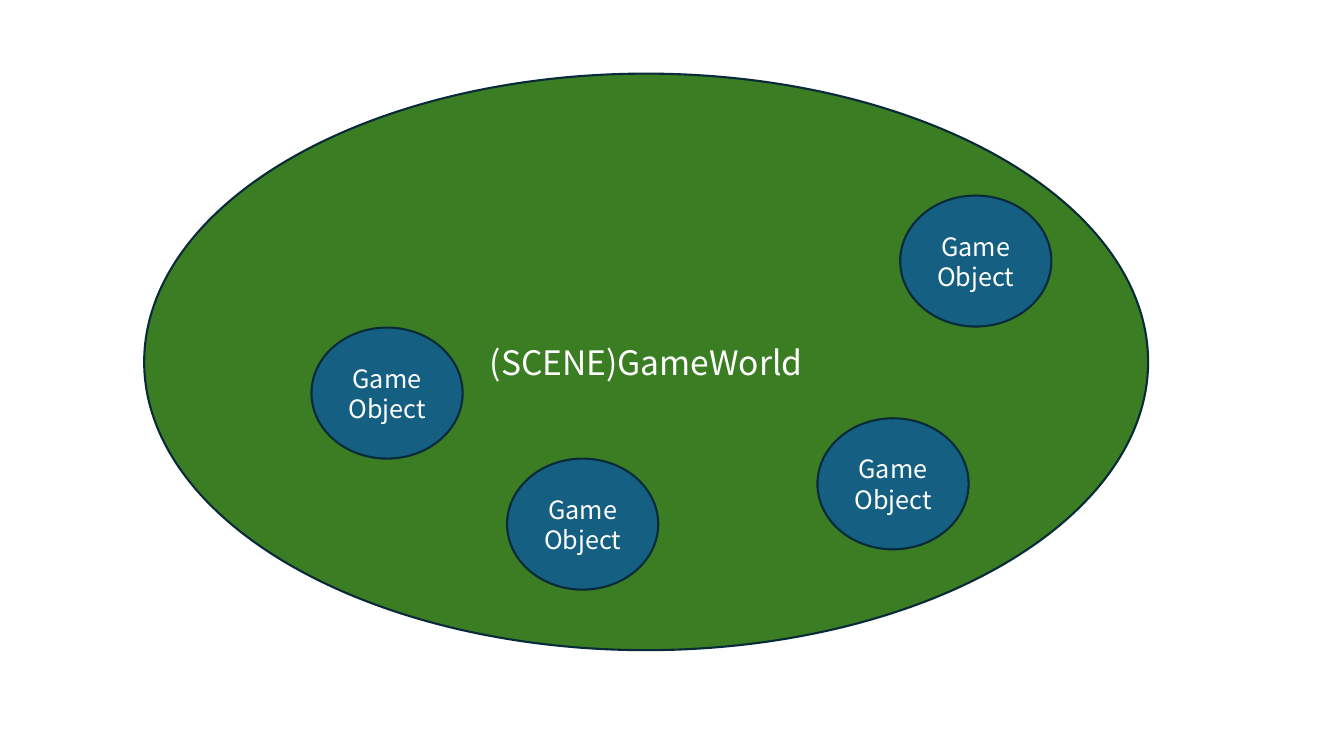
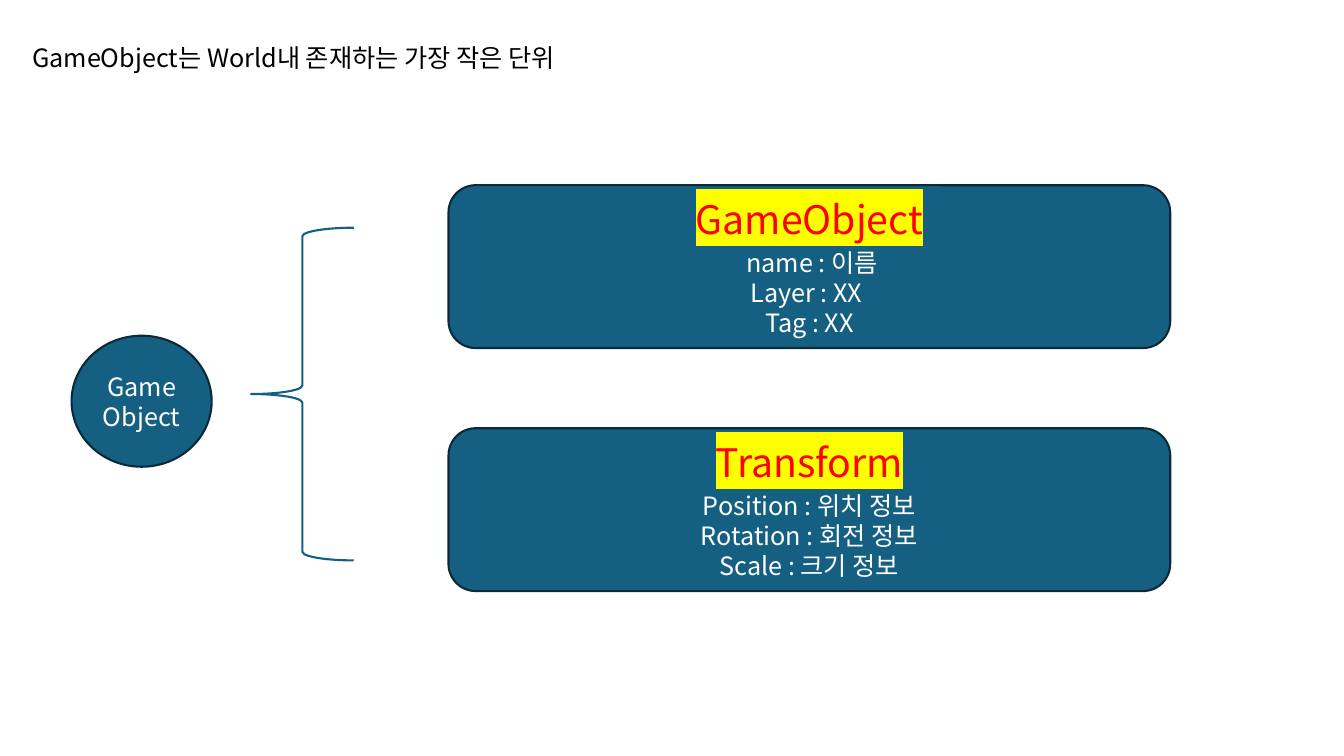
from dataclasses import dataclass

import lxml.etree
import pptx
import pptx.dml.color
import pptx.enum.shapes
import pptx.enum.text
import pptx.oxml.ns
import pptx.util

Pt = pptx.util.Pt
RGB = pptx.dml.color.RGBColor
Kind = pptx.enum.shapes.MSO_SHAPE
Align = pptx.enum.text.PP_ALIGN
qn = pptx.oxml.ns.qn


@dataclass(frozen=True)
class Theme:
    font: str = "Noto Sans CJK KR"
    world: str = "3B7D23"
    blue: str = "156082"
    outline: str = "092A39"
    light: str = "FFFFFF"
    dark: str = "000000"
    heading: str = "FF0000"
    marker: str = "FFFF00"
    body_size: float = 18
    world_size: float = 24
    heading_size: float = 28
    heading_gap: float = 3
    line_width: float = 1.5


THEME = Theme()


@dataclass(frozen=True)
class Box:
    left: float
    top: float
    width: float
    height: float


@dataclass(frozen=True)
class Line:
    text: str
    size: float = THEME.body_size
    color: str = THEME.light
    marker: str = ""
    gap: float = 0


@dataclass(frozen=True)
class Component:
    name: str
    fields: tuple[str, ...]


OBJECT_LABEL = (Line("Game"), Line("Object"))
OBJECT_HEIGHT = 93.6
WORLD_OBJECT_WIDTH = 108
WORLD_OBJECTS = ((222.5, 234), (362.2, 327.6), (583.9, 298.8), (643, 139.7))
COMPONENTS = (
    Component("GameObject", (" name : 이름", "Layer : XX ", "Tag : XX")),
    Component("Transform", (" Position : 위치 정보 ", "Rotation : 회전 정보", "Scale : 크기 정보")),
)
FIRST_COMPONENT = Box(320.4, 132.3, 515.5, 116.3)
COMPONENT_PITCH = 173.6


def write(frame, lines: tuple[Line, ...], align=Align.CENTER) -> None:
    frame.word_wrap = True
    frame.vertical_anchor = pptx.enum.text.MSO_ANCHOR.MIDDLE
    for index, line in enumerate(lines):
        paragraph = frame.add_paragraph() if index else frame.paragraphs[0]
        paragraph.alignment = align
        paragraph.line_spacing = 1.0
        paragraph.space_after = Pt(line.gap)
        run = paragraph.add_run()
        run.text = line.text
        run.font.size = Pt(line.size)
        run.font.color.rgb = RGB.from_string(line.color)
        run.font.name = THEME.font
        latin = run.font._element.find(qn("a:latin"))
        east_asian = lxml.etree.Element(qn("a:ea"), typeface=THEME.font)
        latin.addnext(east_asian)
        if line.marker:
            highlight = lxml.etree.Element(qn("a:highlight"))
            lxml.etree.SubElement(highlight, qn("a:srgbClr"), val=line.marker)
            latin.addprevious(highlight)


def place(shape, box: Box) -> None:
    shape.left, shape.top = Pt(box.left), Pt(box.top)
    shape.width, shape.height = Pt(box.width), Pt(box.height)


def draw(slide, kind, box: Box, fill: str = "", outline: str = THEME.outline,
         lines: tuple[Line, ...] = ()) -> None:
    shape = slide.shapes.add_shape(kind, 0, 0, 0, 0)
    place(shape, box)
    shape.shadow.inherit = False
    if fill:
        shape.fill.solid()
        shape.fill.fore_color.rgb = RGB.from_string(fill)
    else:
        shape.fill.background()
    shape.line.color.rgb = RGB.from_string(outline)
    shape.line.width = Pt(THEME.line_width)
    if lines:
        write(shape.text_frame, lines)


def draw_game_object(slide, left: float, top: float, width: float) -> None:
    draw(slide, Kind.OVAL, Box(left, top, width, OBJECT_HEIGHT), THEME.blue, lines=OBJECT_LABEL)


def draw_component(slide, component: Component, box: Box) -> None:
    heading = Line(component.name, THEME.heading_size, THEME.heading, THEME.marker,
                   THEME.heading_gap)
    fields = tuple(Line(field) for field in component.fields)
    draw(slide, Kind.ROUNDED_RECTANGLE, box, THEME.blue, lines=(heading, *fields))


def build_world(deck) -> None:
    slide = deck.slides.add_slide(deck.slide_layouts[6])
    draw(slide, Kind.OVAL, Box(103, 52.6, 717.1, 411.8), THEME.world,
         lines=(Line("(SCENE)GameWorld", THEME.world_size),))
    for left, top in WORLD_OBJECTS:
        draw_game_object(slide, left, top, WORLD_OBJECT_WIDTH)


def build_game_object(deck) -> None:
    slide = deck.slides.add_slide(deck.slide_layouts[5])
    title = slide.shapes.title
    place(title, Box(15.8, 26.6, 529.9, 28.8))
    title.text_frame.auto_size = pptx.enum.text.MSO_AUTO_SIZE.NONE
    write(title.text_frame, (Line("GameObject는 World내 존재하는 가장 작은 단위", color=THEME.dark),),
          Align.LEFT)
    draw_game_object(slide, 51.1, 239.8, 100.1)
    draw(slide, Kind.LEFT_BRACE, Box(179.3, 162.7, 73.4, 237.6), outline=THEME.blue)
    first = FIRST_COMPONENT
    for index, component in enumerate(COMPONENTS):
        top = first.top + index * COMPONENT_PITCH
        draw_component(slide, component, Box(first.left, top, first.width, first.height))


def main() -> None:
    deck = pptx.Presentation()
    deck.slide_width, deck.slide_height = Pt(960), Pt(540)
    build_world(deck)
    build_game_object(deck)
    deck.save("out.pptx")


if __name__ == "__main__":
    main()
